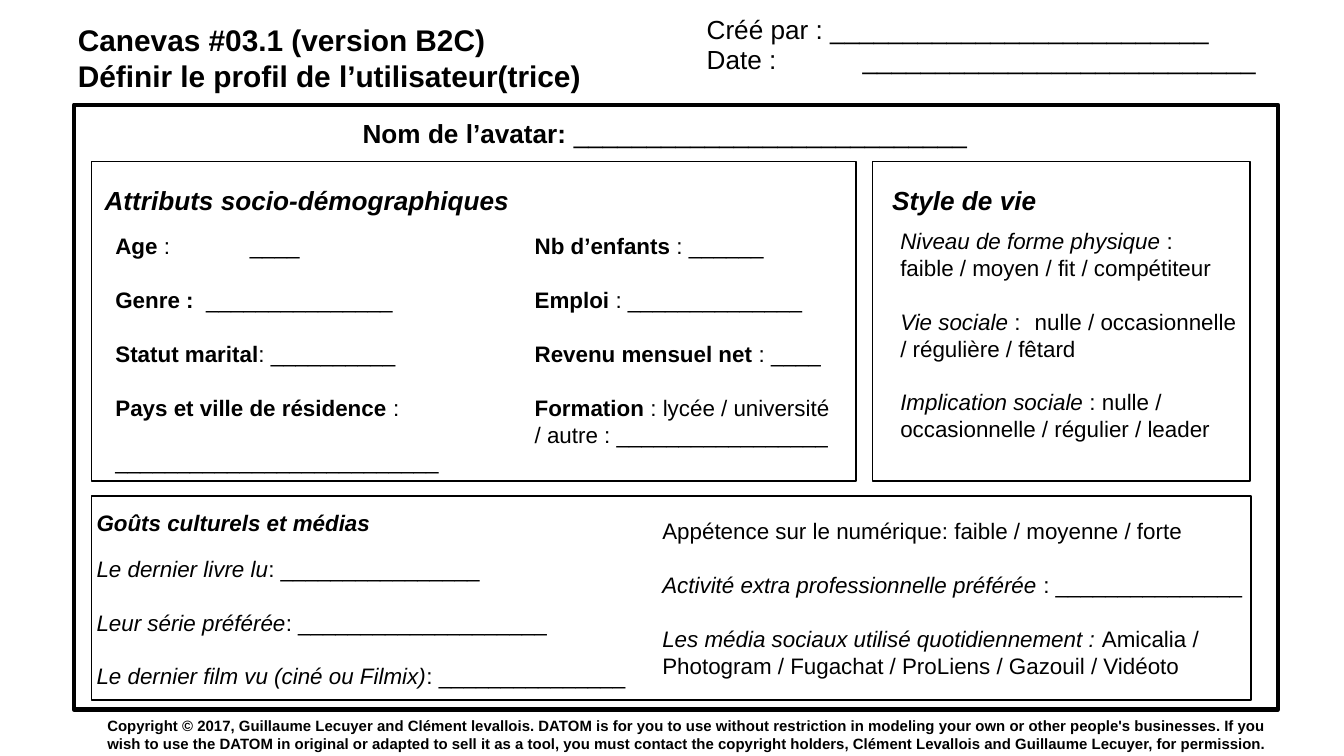
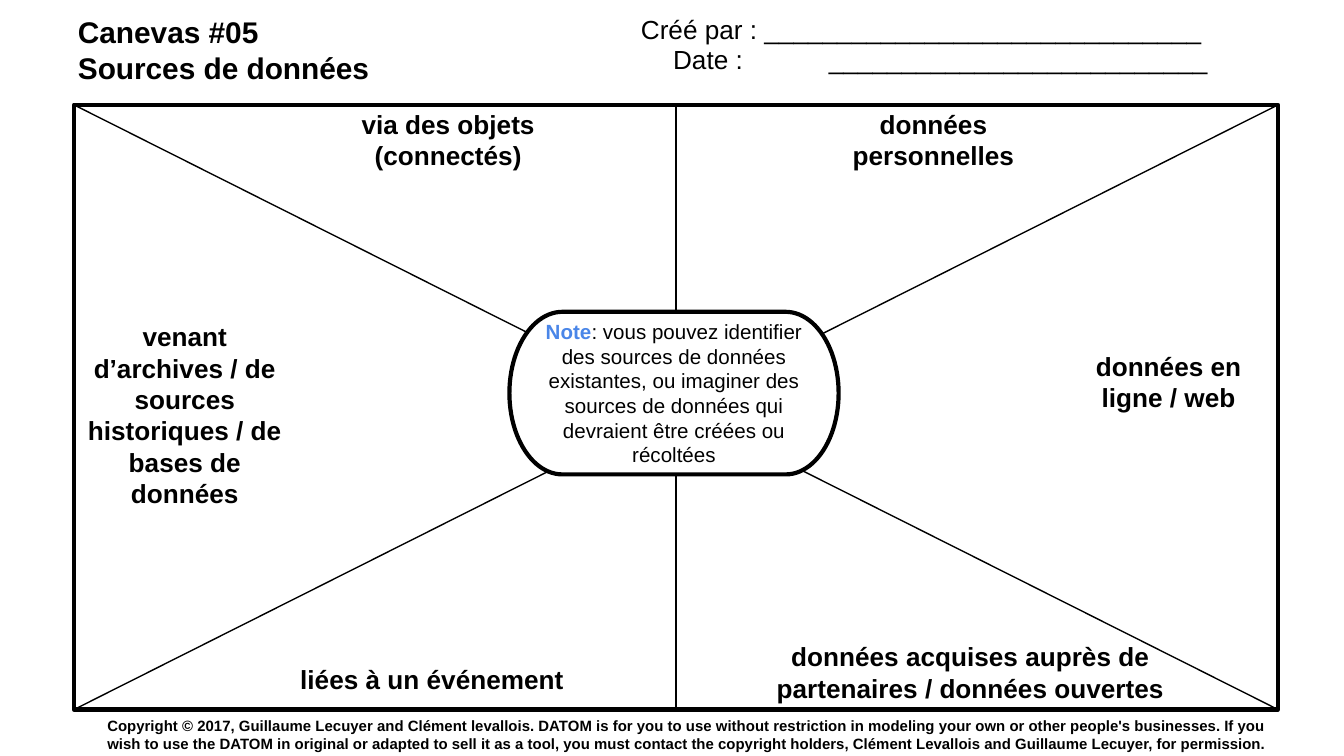
from dataclasses import dataclass

from lxml import etree
from pptx import Presentation
from pptx.dml.color import RGBColor
from pptx.enum.shapes import MSO_CONNECTOR, MSO_SHAPE
from pptx.enum.text import MSO_ANCHOR, MSO_AUTO_SIZE, PP_ALIGN
from pptx.oxml.ns import qn
from pptx.util import Inches, Pt

STRAIGHT = MSO_CONNECTOR.STRAIGHT
RECTANGLE, TERMINATOR = MSO_SHAPE.RECTANGLE, MSO_SHAPE.FLOWCHART_TERMINATOR
TOP, MIDDLE = MSO_ANCHOR.TOP, MSO_ANCHOR.MIDDLE
LEFT, CENTER = PP_ALIGN.LEFT, PP_ALIGN.CENTER
NO_AUTOFIT = MSO_AUTO_SIZE.NONE
TITLE_ONLY = 5
TOP_SIDE, BOTTOM_SIDE = 0, 2
SLIDE_WIDTH = 10
SLIDE_HEIGHT = SLIDE_WIDTH * 9 / 16


@dataclass(frozen=True)
class Theme:
    font: str = "Arial"
    ink: RGBColor = RGBColor(0, 0, 0)
    paper: RGBColor = RGBColor(255, 255, 255)
    accent: RGBColor = RGBColor(0x4A, 0x86, 0xE8)
    title: float = 16
    heading: float = 14
    body: float = 12
    note: float = 11
    legal: float = 8
    thick: float = 2.25
    thin: float = 0.75
    inset: float = 0.1
    paragraph_gap: float = 14.4


THEME = Theme()

# Boxes are (left, top, width, height) in inches.
# A paragraph is a list of (text, style) runs: b bold, i italic, a accent colour.
COPYRIGHT = (
    "Copyright © 2017, Guillaume Lecuyer and Clément levallois. DATOM is for you "
    "to use without restriction in modeling your own or other people's businesses. "
    "If you wish to use the DATOM in original or adapted to sell it as a tool, you "
    "must contact the copyright holders, Clément Levallois and Guillaume Lecuyer, "
    "for permission."
)
COPYRIGHT_BOX = (0.7, 5.35, 8.96, 0.23)
FRAME_BOX = (0.55, 0.78, 8.96, 4.5)
DATE_TAB = 1.16
FIELD_TAB = 1.0

PROFILE_HEADER = {
    "title": ["Canevas #03.1 (version B2C)", "Définir le profil de l’utilisateur(trice)"],
    "title_box": (0.48, 0.06, 4.94, 0.5),
    "author": ("Créé par : " + "_" * 26, (5.16, 0, 4.36, 0.34)),
    "date": ("Date : \t" + "_" * 27, (5.16, 0.22, 4.44, 0.34)),
}
PROFILE_PANELS = [
    (6.49, 1.2, 2.81, 2.38),
    (0.68, 1.2, 5.69, 2.38),
    (0.68, 3.69, 8.63, 1.52),
]
AVATAR = [("Nom de l’avatar:", "b"), (" " + "_" * 27, "")]
AVATAR_BOX = (2.6, 0.77, 6.36, 0.34)
PROFILE_HEADINGS = [
    ("Attributs socio-démographiques", THEME.heading, (0.68, 1.27, 6.01, 0.34)),
    ("Style de vie", THEME.heading, (6.54, 1.27, 2.71, 0.34)),
    ("Goûts culturels et médias", THEME.body, (0.62, 3.69, 2.47, 0.34)),
]
PROFILE_FIELDS = [
    ((0.76, 1.63, 3.12, 1.95), [
        [("Age", "b"), (" : \t____", "")],
        [("Genre : ", "b"), (" " + "_" * 15, "")],
        [("Statut marital", "b"), (": " + "_" * 10, "")],
        [("Pays et ville de résidence ", "b"), (":", "")],
        [("_" * 26, "")],
    ]),
    ((3.88, 1.63, 2.4, 1.95), [
        [("Nb d’enfants", "b"), (" : ______", "")],
        [("Emploi ", "b"), (": " + "_" * 14, "")],
        [("Revenu mensuel net ", "b"), (": ____", "")],
        [("Formation ", "b"), (": lycée / université / autre : " + "_" * 17, "")],
    ]),
    ((6.6, 1.59, 2.71, 1.91), [
        [("Niveau de forme physique ", "i"), (":", ""), ("\n", ""),
         ("faible / moyen / fit / compétiteur", "")],
        [("Vie sociale ", "i"), (": \tnulle / occasionnelle / régulière / fêtard", "")],
        [("Implication sociale ", "i"),
         (": nulle / occasionnelle / régulier / leader", "")],
    ]),
    ((0.62, 4.03, 4.73, 1.02), [
        [("Le dernier livre lu", "i"), (": " + "_" * 16, "")],
        [("Leur série préférée", "i"), (": " + "_" * 20, "")],
        [("Le dernier film vu (ciné ou Filmix)", "i"), (": " + "_" * 15, "")],
    ]),
    ((4.83, 3.75, 4.6, 1.39), [
        [("Appétence sur le numérique: faible / moyenne / forte", "")],
        [("Activité extra professionnelle préférée ", "i"), (": " + "_" * 15, "")],
        [("Les média sociaux utilisé quotidiennement : ", "i"),
         ("Amicalia / Photogram / Fugachat / ProLiens / Gazouil / Vidéoto", "")],
    ]),
]

SOURCES_HEADER = {
    "title": ["Canevas #05", "Sources de données"],
    "title_box": (0.48, 0, 4.06, 0.49),
    "author": ("Créé par : " + "_" * 30, (4.67, 0, 5.18, 0.34)),
    "date": ("Date : \t" + "_" * 26, (4.91, 0.22, 4.44, 0.34)),
}
SOURCES = [
    ("via des objets (connectés)", (2.13, 0.87, 2.41, 0.34)),
    ("données personnelles", (6.12, 0.87, 1.65, 0.34)),
    ("données en ligne / web", (7.87, 2.67, 1.65, 0.34)),
    ("liées à un événement", (1.81, 4.88, 2.81, 0.34)),
    ("données acquises auprès de partenaires / données ouvertes",
     (5.61, 4.83, 3.22, 0.34)),
    ("venant d’archives / de sources historiques / de bases de données",
     (0.55, 2.53, 1.65, 1.11)),
]
NOTE = [
    ("Note", "ba"),
    (": vous pouvez identifier des sources de données existantes, ou imaginer des "
     "sources de données qui devraient être créées ou récoltées", ""),
]
NOTE_BOX = (3.79, 2.32, 2.45, 1.21)


def inches(box):
    return [Inches(length) for length in box]


def add_tab_stop(paragraph, position):
    tabs = etree.SubElement(paragraph._p.get_or_add_pPr(), qn("a:tabLst"))
    etree.SubElement(tabs, qn("a:tab"), pos=str(Inches(position)), algn="l")


def write(frame, paragraphs, size, align=LEFT, anchor=TOP, gap=0, tab=FIELD_TAB):
    """Fill a text frame; gap is the space in points between paragraphs."""
    frame.word_wrap = True
    frame.auto_size = NO_AUTOFIT
    frame.vertical_anchor = anchor
    frame.margin_left = frame.margin_right = Inches(THEME.inset)
    frame.margin_top = frame.margin_bottom = Inches(THEME.inset)
    for index, runs in enumerate(paragraphs):
        paragraph = frame.add_paragraph() if index else frame.paragraphs[0]
        if any("\t" in text for text, _ in runs):
            add_tab_stop(paragraph, tab)
        paragraph.alignment = align
        if index and gap:
            paragraph.space_before = Pt(gap)
        for text, style in runs:
            if text == "\n":
                paragraph.add_line_break()
                continue
            run = paragraph.add_run()
            run.text = text
            run.font.name = THEME.font
            run.font.size = Pt(size)
            run.font.bold = "b" in style
            run.font.italic = "i" in style
            run.font.color.rgb = THEME.accent if "a" in style else THEME.ink


def add_text(slide, box, paragraphs, size, **layout):
    write(slide.shapes.add_textbox(*inches(box)).text_frame, paragraphs, size, **layout)


def add_outline(slide, box, width, kind=RECTANGLE, filled=False):
    outline = slide.shapes.add_shape(kind, *inches(box))
    outline.shadow.inherit = False
    if filled:
        outline.fill.solid()
        outline.fill.fore_color.rgb = THEME.paper
    else:
        outline.fill.background()
    outline.line.color.rgb = THEME.ink
    outline.line.width = Pt(width)
    return outline


def add_divider(slide, start, end):
    divider = slide.shapes.add_connector(STRAIGHT, *inches(start + end))
    divider.line.color.rgb = THEME.ink
    divider.line.width = Pt(THEME.thin)
    etree.SubElement(divider._element.spPr, qn("a:effectLst"))
    return divider


def add_canvas(deck, header):
    """Add a slide with its title, form fields, frame and copyright line."""
    slide = deck.slides.add_slide(deck.slide_layouts[TITLE_ONLY])
    title = slide.shapes.title
    title.left, title.top, title.width, title.height = inches(header["title_box"])
    write(title.text_frame, [[(line, "b")] for line in header["title"]], THEME.title)
    frame = add_outline(slide, FRAME_BOX, THEME.thick)
    for text, box in (header["author"], header["date"]):
        add_text(slide, box, [[(text, "")]], THEME.heading, tab=DATE_TAB)
    add_text(slide, COPYRIGHT_BOX, [[(COPYRIGHT, "b")]], THEME.legal, anchor=MIDDLE)
    return slide, frame


def build_profile(deck):
    slide, _ = add_canvas(deck, PROFILE_HEADER)
    for panel in PROFILE_PANELS:
        add_outline(slide, panel, THEME.thin)
    add_text(slide, AVATAR_BOX, [AVATAR], THEME.heading)
    for heading, size, box in PROFILE_HEADINGS:
        add_text(slide, box, [[(heading, "bi")]], size)
    for box, fields in PROFILE_FIELDS:
        add_text(slide, box, fields, THEME.body, gap=THEME.paragraph_gap)


def build_sources(deck):
    slide, frame = add_canvas(deck, SOURCES_HEADER)
    left, top, width, height = FRAME_BOX
    right, bottom, center = left + width, top + height, left + width / 2
    add_divider(slide, (right, bottom), (left, top))
    add_divider(slide, (left, bottom), (right, top))
    vertical = add_divider(slide, (center, bottom), (center, top))
    vertical.begin_connect(frame, BOTTOM_SIDE)
    vertical.end_connect(frame, TOP_SIDE)
    for source, box in SOURCES:
        add_text(slide, box, [[(source, "b")]], THEME.heading,
                 align=CENTER, anchor=MIDDLE)
    note = add_outline(slide, NOTE_BOX, THEME.thick, TERMINATOR, filled=True)
    write(note.text_frame, [NOTE], THEME.note, align=CENTER, anchor=MIDDLE)


def main():
    deck = Presentation()
    deck.slide_width, deck.slide_height = Inches(SLIDE_WIDTH), Inches(SLIDE_HEIGHT)
    build_profile(deck)
    build_sources(deck)
    deck.save("out.pptx")


if __name__ == "__main__":
    main()
